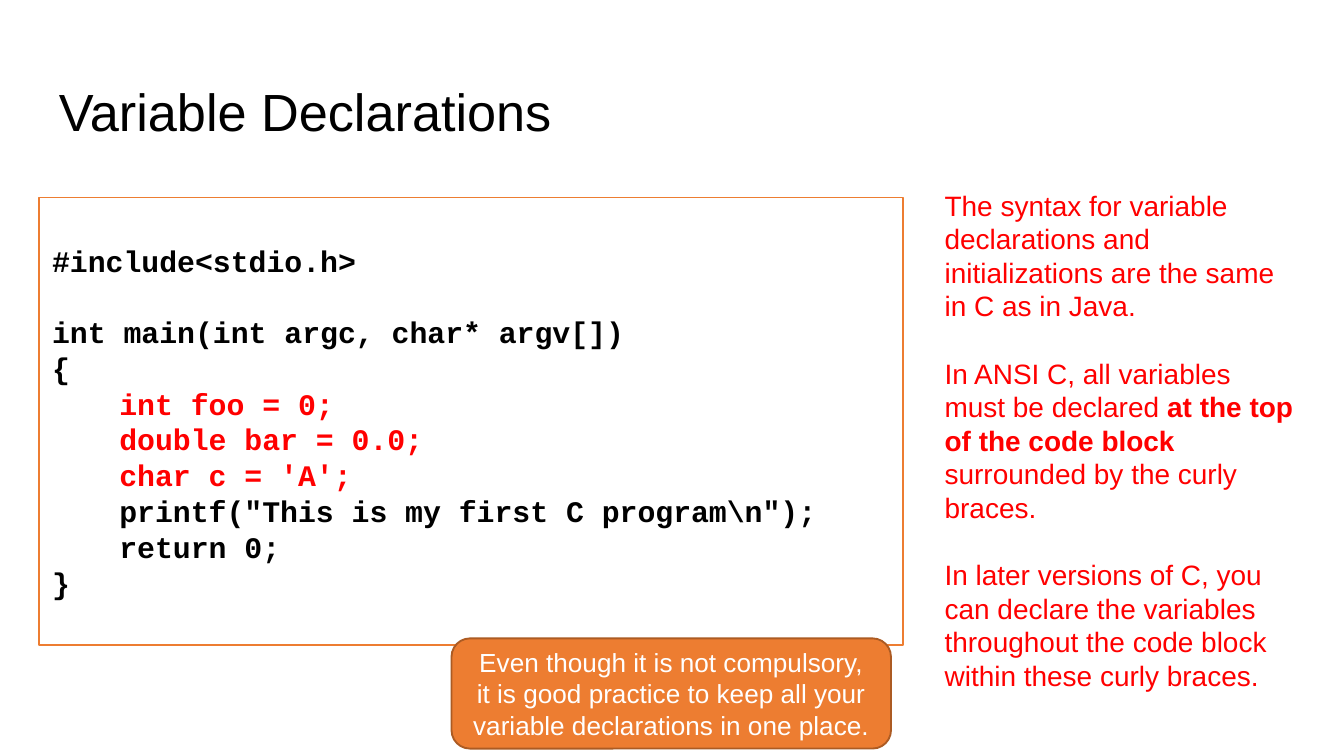
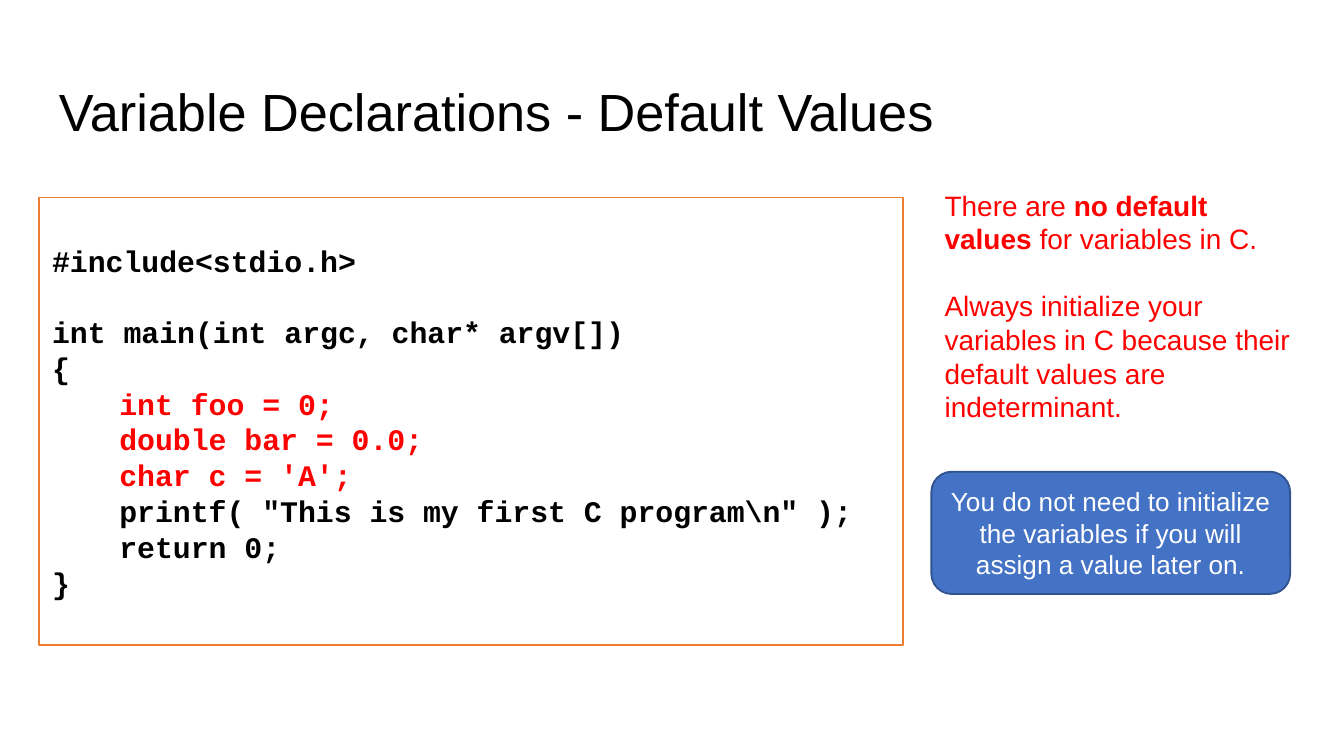
from dataclasses import dataclass
from typing import Optional

from pptx import Presentation
from pptx import util as u
from pptx.dml.color import RGBColor
from pptx.enum import shapes, text

COLUMNS, ROWS = 100, 56.25
SLIDE_WIDTH, SLIDE_HEIGHT = u.Inches(10), u.Inches(5.625)

BLACK = RGBColor(0x00, 0x00, 0x00)
WHITE = RGBColor(0xFF, 0xFF, 0xFF)
RED = RGBColor(0xFF, 0x00, 0x00)
ORANGE = RGBColor(0xED, 0x7D, 0x31)
DARK_ORANGE = RGBColor(0xAC, 0x5B, 0x23)
BLUE = RGBColor(0x44, 0x72, 0xC4)
DARK_BLUE = RGBColor(0x31, 0x53, 0x8F)


@dataclass(frozen=True)
class Area:
    column: float
    row: float
    columns: float
    rows: float

    def lengths(self) -> tuple[int, int, int, int]:
        return (
            int(SLIDE_WIDTH * self.column / COLUMNS),
            int(SLIDE_HEIGHT * self.row / ROWS),
            int(SLIDE_WIDTH * self.columns / COLUMNS),
            int(SLIDE_HEIGHT * self.rows / ROWS),
        )


@dataclass(frozen=True)
class Style:
    font: str
    size: float
    color: RGBColor
    bold: bool = False


@dataclass(frozen=True)
class Span:
    words: str
    bold: bool = False


@dataclass(frozen=True)
class CodeLine:
    words: str
    indented: bool = False
    color: RGBColor = BLACK
    gap: float = 0


@dataclass(frozen=True)
class Callout:
    area: Area
    words: str
    fill: RGBColor
    outline: RGBColor


@dataclass(frozen=True)
class Lesson:
    title: str
    print_call: str
    remark_rows: float
    remarks: list[list[Span]]
    callout: Callout


TITLE = Style("Arial", 28, BLACK)
CODE = Style("Courier New", 16, BLACK, True)
REMARK = Style("Arial", 15, RED)
CALLOUT = Style("Arial", 14, WHITE)

TITLE_AREA = Area(3.4, 4.9, 93.2, 6.3)
CODE_AREA = Area(2.9, 14.7, 64.3, 33.3)
REMARK_COLUMN, REMARK_ROW, REMARK_COLUMNS = 69.3, 13, 28.1
REMARK_GAP, CODE_GAP = 18, 19

LESSONS = [
    Lesson(
        "Variable Declarations",
        'printf("This is my first C program\\n");',
        40.2,
        [
            [Span("The syntax for variable declarations and initializations "
                  "are the same in C as in Java.")],
            [
                Span("In ANSI C, all variables must be declared "),
                Span("at the top of the code block ", True),
                Span("surrounded by the curly braces."),
            ],
            [Span("In later versions of C, you can declare the variables "
                  "throughout the code block within these curly braces.")],
        ],
        Callout(
            Area(33.6, 47.5, 32.7, 8.2),
            "Even though it is not compulsory, it is good practice to keep "
            "all your variable declarations in one place.",
            ORANGE,
            DARK_ORANGE,
        ),
    ),
    Lesson(
        "Variable Declarations - Default Values",
        'printf( "This is my first C program\\n" );',
        33,
        [
            [
                Span("There are "),
                Span("no default values", True),
                Span(" for variables in C."),
            ],
            [Span("Always initialize your variables in C because their "
                  "default values are indeterminant.")],
        ],
        Callout(
            Area(REMARK_COLUMN, 35.1, 26.7, 9.1),
            "You do not need to initialize the variables if you will "
            "assign a value later on.",
            BLUE,
            DARK_BLUE,
        ),
    ),
]


def code_lines(print_call: str) -> list[CodeLine]:
    declarations = ["int foo = 0;", "double bar = 0.0;", "char c = 'A';"]
    return [
        CodeLine("#include<stdio.h>"),
        CodeLine("int main(int argc, char* argv[])", gap=CODE_GAP),
        CodeLine("{"),
        *[CodeLine(words, True, RED) for words in declarations],
        CodeLine(print_call, True),
        CodeLine("return 0;", True),
        CodeLine("}"),
    ]


def add_span(para, words: str, style: Style, bold: bool = False,
             color: Optional[RGBColor] = None) -> None:
    span = para.add_run()
    span.text = words
    span.font.name = style.font
    span.font.size = u.Pt(style.size)
    span.font.bold = style.bold or bold
    span.font.color.rgb = color or style.color


def next_para(frame, index: int):
    return frame.add_paragraph() if index else frame.paragraphs[0]


def set_frame(box, padding: float, anchor):
    frame = box.text_frame
    frame.word_wrap = True
    frame.auto_size = text.MSO_AUTO_SIZE.NONE
    frame.vertical_anchor = anchor
    frame.margin_left = frame.margin_right = u.Inches(0.1)
    frame.margin_top = frame.margin_bottom = u.Inches(padding)
    return frame


def add_text_box(page, area: Area):
    box = page.shapes.add_textbox(*area.lengths())
    return set_frame(box, 0.1, text.MSO_ANCHOR.TOP)


def add_panel(page, kind, area: Area, outline: RGBColor,
              fill: Optional[RGBColor] = None):
    box = page.shapes.add_shape(kind, *area.lengths())
    box.shadow.inherit = False
    box.line.color.rgb = outline
    box.line.width = u.Pt(1)
    if fill is None:
        box.fill.background()
    else:
        box.fill.solid()
        box.fill.fore_color.rgb = fill
    return set_frame(box, 0.05, text.MSO_ANCHOR.MIDDLE)


def add_title(page, words: str) -> None:
    add_span(add_text_box(page, TITLE_AREA).paragraphs[0], words, TITLE)


def add_code(page, lines: list[CodeLine]) -> None:
    frame = add_panel(page, shapes.MSO_SHAPE.RECTANGLE, CODE_AREA, ORANGE)
    for index, line in enumerate(lines):
        para = next_para(frame, index)
        para.alignment = text.PP_ALIGN.LEFT
        para.space_before = u.Pt(line.gap)
        if line.indented:
            properties = para._p.get_or_add_pPr()
            properties.set("marL", str(u.Inches(0.5)))
            properties.set("indent", "0")
        add_span(para, line.words, CODE, color=line.color)


def add_remarks(page, rows: float, remarks: list[list[Span]]) -> None:
    area = Area(REMARK_COLUMN, REMARK_ROW, REMARK_COLUMNS, rows)
    frame = add_text_box(page, area)
    for index, remark in enumerate(remarks):
        para = next_para(frame, index)
        para.space_before = u.Pt(REMARK_GAP if index else 0)
        for span in remark:
            add_span(para, span.words, REMARK, span.bold)


def add_callout(page, callout: Callout) -> None:
    frame = add_panel(page, shapes.MSO_SHAPE.ROUNDED_RECTANGLE, callout.area,
                      callout.outline, callout.fill)
    para = frame.paragraphs[0]
    para.alignment = text.PP_ALIGN.CENTER
    add_span(para, callout.words, CALLOUT)


def add_lesson(deck, lesson: Lesson) -> None:
    page = deck.slides.add_slide(deck.slide_layouts[6])
    add_title(page, lesson.title)
    add_code(page, code_lines(lesson.print_call))
    add_remarks(page, lesson.remark_rows, lesson.remarks)
    add_callout(page, lesson.callout)


deck = Presentation()
deck.slide_width, deck.slide_height = SLIDE_WIDTH, SLIDE_HEIGHT
for lesson in LESSONS:
    add_lesson(deck, lesson)
deck.save("out.pptx")
